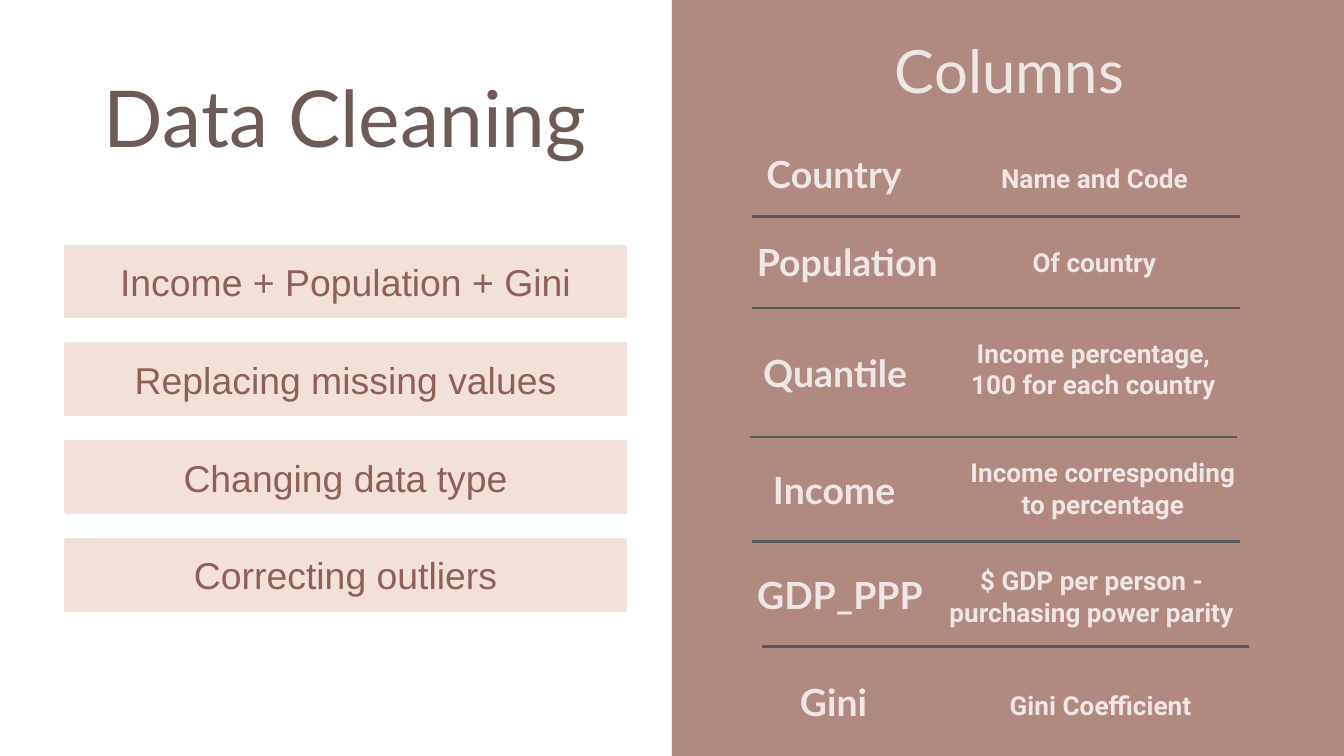
from pptx import Presentation
from pptx.dml.color import RGBColor
from pptx.enum.shapes import MSO_CONNECTOR as CONNECTOR, MSO_SHAPE as SHAPE
from pptx.enum.text import MSO_ANCHOR as ANCHOR, PP_ALIGN as ALIGN
from pptx.oxml.xmlchemy import OxmlElement
from pptx.util import Cm, Pt


def color(hex_text):
    return RGBColor.from_string(hex_text)


def write(shape, text, font_format, hex_text, anchor=ANCHOR.MIDDLE, inset=0.25):
    """Put one centred paragraph into a shape."""
    frame = shape.text_frame
    frame_format = {"word_wrap": True, "vertical_anchor": anchor}
    for side in ("left", "right", "top", "bottom"):
        frame_format[f"margin_{side}"] = Cm(inset)
    for name, value in frame_format.items():
        setattr(frame, name, value)
    paragraph = frame.paragraphs[0]
    paragraph.alignment = ALIGN.CENTER
    run = paragraph.add_run()
    run.text = text
    for name, value in font_format.items():
        setattr(run.font, name, value)
    run.font.color.rgb = color(hex_text)


TITLE = {"name": "Lato", "size": Pt(42)}
HEADING = {"name": "Lato", "size": Pt(32)}
COLUMN_NAME = {"name": "Lato", "size": Pt(20), "bold": True}
DESCRIPTION = {"name": "Roboto", "size": Pt(14), "bold": True}
STEP = {"name": "Arial", "size": Pt(20)}
ROSE, CREAM, PALE = "B08980", "F2E1D8", "EFE7E6"
BROWN, DARK_BROWN, GRAY = "8D6157", "6D5B57", "595959"

presentation = Presentation()
presentation.slide_width, presentation.slide_height = Cm(25.4), Cm(14.29)
slide = presentation.slides.add_slide(presentation.slide_layouts[6])
shapes = slide.shapes

# Right half panel
panel = shapes.add_shape(SHAPE.RECTANGLE, Cm(12.7), 0, Cm(12.7), Cm(14.29))
panel.shadow.inherit = False
panel.fill.solid()
panel.fill.fore_color.rgb = color(ROSE)
panel.line.fill.background()

# Title and heading
title = shapes.add_textbox(Cm(0.91), Cm(0.56), Cm(11.23), Cm(2.77))
write(title, "Data Cleaning", TITLE, DARK_BROWN, ANCHOR.BOTTOM)
heading = shapes.add_textbox(Cm(14), Cm(0.64), Cm(10.16), Cm(1.37))
write(heading, "Columns", HEADING, PALE)

# Cleaning steps
steps = ["Income + Population + Gini", "Replacing missing values",
         "Changing data type", "Correcting outliers"]
for index, text in enumerate(steps):
    bar = shapes.add_shape(SHAPE.RECTANGLE, Cm(1.25), Cm(4.66 + 1.85 * index),
                           Cm(10.57), Cm(1.32))
    bar.shadow.inherit = False
    bar.fill.solid()
    bar.fill.fore_color.rgb = color(CREAM)
    bar.line.color.rgb = color(CREAM)
    bar.line.width = Pt(2)
    write(bar, text, STEP, BROWN, inset=0.13)

# Column names and descriptions: text, then left, top, width, height
columns = [
    ("Country", (13.77, 2.72, 3.99, 1.14),
     "Name and Code", (17.75, 2.46, 5.87, 1.83)),
    ("Population", (14.02, 4.47, 3.99, 0.94),
     "Of country", (17.75, 4.22, 5.87, 1.47)),
    ("Quantile", (13.79, 6.43, 3.99, 1.22),
     "Income percentage, 100 for each country", (17.73, 5.99, 5.87, 1.96)),
    ("Income", (13.77, 8.71, 3.99, 1.09),
     "Income corresponding to percentage", (17.91, 8.36, 5.87, 1.73)),
    ("GDP_PPP", (14.02, 10.62, 3.71, 1.22),
     "$ GDP per person - purchasing power parity", (17.48, 10.29, 6.3, 1.96)),
    ("Gini", (13.61, 12.65, 4.29, 1.22),
     "Gini Coefficient", (17.65, 12.34, 6.3, 1.96)),
]
for name, name_box, description, description_box in columns:
    name_shape = shapes.add_textbox(*map(Cm, name_box))
    write(name_shape, name, COLUMN_NAME, PALE)
    description_shape = shapes.add_textbox(*map(Cm, description_box))
    write(description_shape, description, DESCRIPTION, PALE)

# Divider lines: left, height on the slide
dividers = [(14.22, 4.09), (14.22, 5.82), (14.17, 8.26), (14.22, 10.24), (14.4, 12.22)]
for left, top in dividers:
    divider = shapes.add_connector(CONNECTOR.STRAIGHT, Cm(left + 9.21), Cm(top),
                                   Cm(left), Cm(top))
    divider.line.color.rgb = color(GRAY)
    divider.line.width = Pt(1.5)
    divider._element.spPr.append(OxmlElement("a:effectLst"))

presentation.save("out.pptx")
